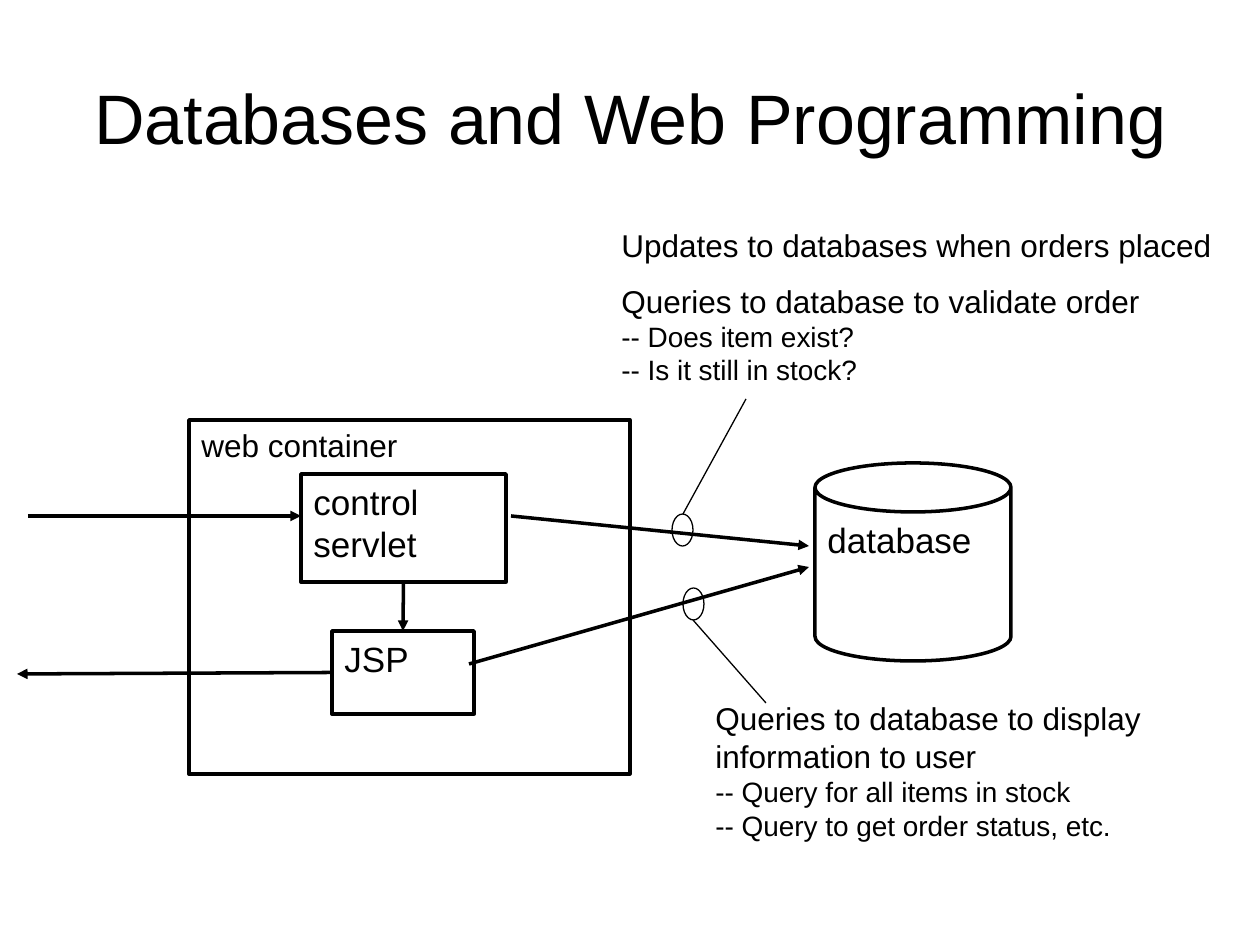
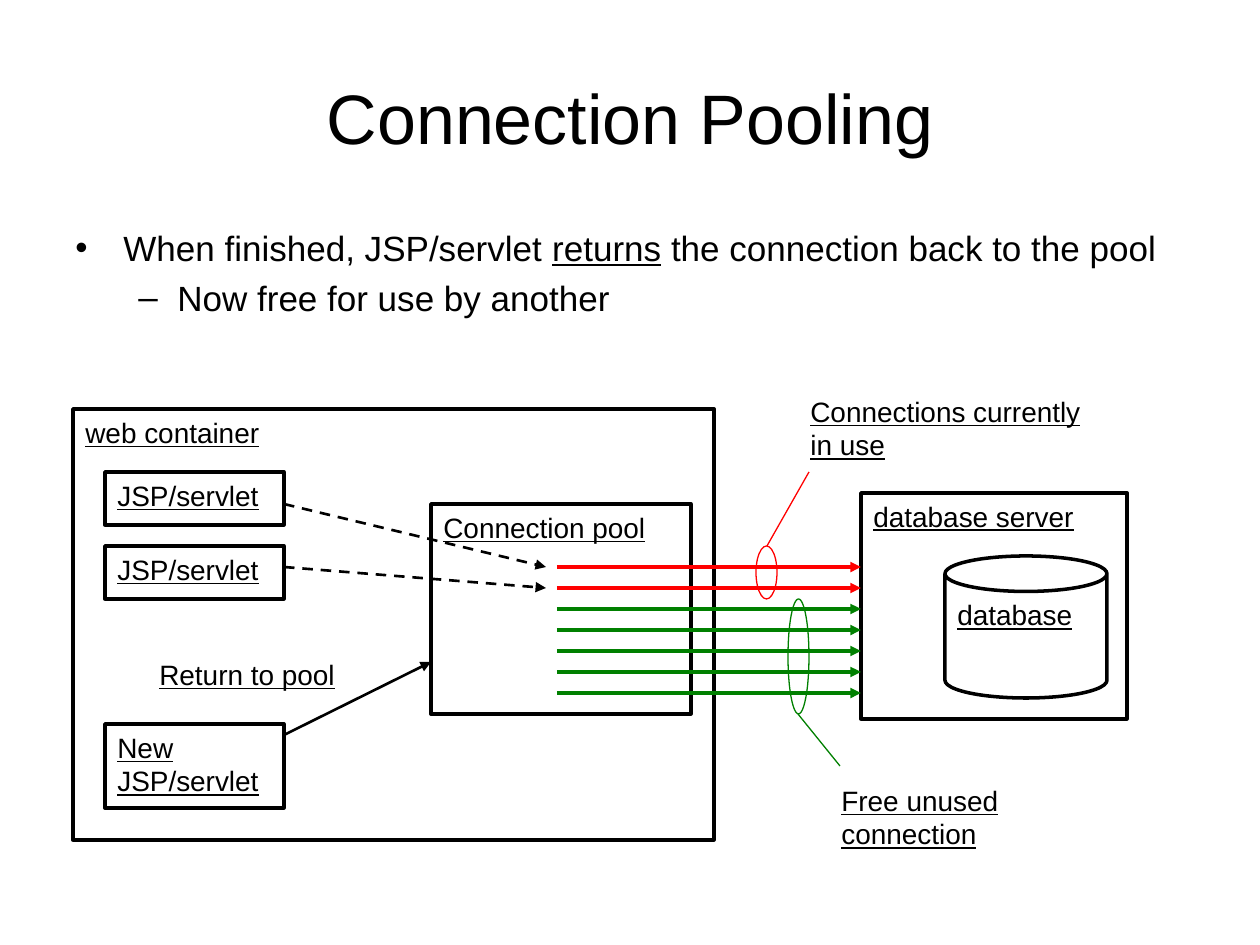
from copy import deepcopy
from dataclasses import dataclass

from lxml.etree import SubElement
from pptx import Presentation
from pptx.dml.color import RGBColor
from pptx.enum.dml import MSO_LINE_DASH_STYLE as Dash
from pptx.enum.shapes import MSO_CONNECTOR, MSO_SHAPE as Preset
from pptx.enum.text import MSO_ANCHOR as Anchor, MSO_AUTO_SIZE as AutoSize, PP_ALIGN as Align
from pptx.oxml.ns import qn
from pptx.util import Pt

EMU_PER_PX = 914400 / 126
FONT = "Arial"
COLORS = {"ink": "000000", "in_use": "FF0000", "free": "008000"}
TOP, LEFT, BOTTOM, RIGHT = range(4)
THIN, MEDIUM, THICK = 0.75, 1.5, 2


@dataclass
class Span:
    text: str
    size: int
    underline: bool = False


def px(length):
    return round(length * EMU_PER_PX)


def color(name):
    return RGBColor.from_string(COLORS[name])


def write_span(paragraph, span):
    for index, line in enumerate(span.text.split("\n")):
        if index:
            line_break = SubElement(paragraph._p, qn("a:br"))
            line_break.append(deepcopy(run._r.rPr))
        run = paragraph.add_run()
        run.text = line
        run.font.name = FONT
        run.font.size = Pt(span.size)
        run.font.underline = span.underline
        run.font.color.rgb = color("ink")


def write_text(frame, paragraphs, align=Align.LEFT, anchor=Anchor.TOP, gap=0):
    frame.word_wrap = True
    frame.auto_size = AutoSize.NONE
    frame.vertical_anchor = anchor
    for index, spans in enumerate(paragraphs):
        paragraph = frame.add_paragraph() if index else frame.paragraphs[0]
        paragraph.alignment = align
        paragraph.space_before = Pt(gap if index else 0)
        for span in spans:
            write_span(paragraph, span)


def add_titled_slide(deck, title):
    slide = deck.slides.add_slide(deck.slide_layouts[5])
    heading = slide.shapes.title
    heading.left, heading.top, heading.width, heading.height = map(px, (63, 38, 1134, 158))
    write_text(heading.text_frame, [[Span(title, 40)]], Align.CENTER, Anchor.MIDDLE)
    return slide


def add_outline(slide, preset, bounds, paragraphs=(), line="ink", weight=THICK):
    shape = slide.shapes.add_shape(preset, *map(px, bounds))
    shape.shadow.inherit = False
    shape.fill.background()
    shape.line.color.rgb = color(line)
    shape.line.width = Pt(weight)
    if paragraphs:
        write_text(shape.text_frame, paragraphs)
    return shape


def add_note(slide, bounds, paragraphs, gap=0):
    note = slide.shapes.add_textbox(*map(px, bounds))
    write_text(note.text_frame, paragraphs, gap=gap)
    return note


def add_bullet(paragraph, mark, indent, hanging, level):
    properties = paragraph._p.get_or_add_pPr()
    properties.set("marL", str(px(indent)))
    properties.set("indent", str(-px(hanging)))
    properties.set("lvl", str(level))
    SubElement(properties, qn("a:buFont"), typeface=FONT)
    SubElement(properties, qn("a:buChar"), char=mark)


def add_line(slide, start, end, line="ink", weight=THICK, arrow=False, dashed=False):
    connector = slide.shapes.add_connector(
        MSO_CONNECTOR.STRAIGHT, *map(px, start + end))
    connector.line.color.rgb = color(line)
    connector.line.width = Pt(weight)
    if dashed:
        connector.line.dash_style = Dash.DASH
    if arrow:
        SubElement(connector.line._get_or_add_ln(), qn("a:tailEnd"), type="triangle")
    SubElement(connector._element.spPr, qn("a:effectLst"))
    return connector


def add_callout(slide, ring, start, end, line="ink"):
    add_outline(slide, Preset.OVAL, ring, line=line, weight=THIN)
    add_line(slide, start, end, line, THIN)


def build_web_programming(deck):
    slide = add_titled_slide(deck, "Databases and Web Programming")
    add_outline(slide, Preset.RECTANGLE, (189, 420, 441, 354), [[Span("web container", 18)]])
    servlet = add_outline(slide, Preset.RECTANGLE, (301, 474, 205, 108),
                          [[Span("control", 20)], [Span("servlet", 20)]])
    jsp = add_outline(slide, Preset.RECTANGLE, (332, 631, 142, 83), [[Span("JSP", 20)]])
    add_outline(slide, Preset.CAN, (815, 463, 196, 198), [[Span("database", 20)]])

    add_line(slide, (28, 516), (301, 516), arrow=True)
    forward = add_line(slide, (404, 582), (404, 631), arrow=True)
    forward.begin_connect(servlet, BOTTOM)
    forward.end_connect(jsp, TOP)
    response = add_line(slide, (332, 673), (17, 674), arrow=True)
    response.begin_connect(jsp, LEFT)
    add_line(slide, (511, 516), (809, 546), arrow=True)
    add_line(slide, (469, 664), (809, 567), arrow=True)

    add_note(slide, (609, 220, 630, 173), [
        [Span("Updates to databases when orders placed", 18)],
        [Span("Queries to database to validate order\n", 18),
         Span("-- Does item exist?\n-- Is it still in stock?", 16)],
    ], gap=10)
    add_callout(slide, (672, 514, 21, 32), (746, 399), (683, 514))
    add_note(slide, (703, 693, 451, 156), [
        [Span("Queries to database to display information to user\n", 18),
         Span("-- Query for all items in stock\n-- Query to get order status, etc.", 16)],
    ])
    add_callout(slide, (683, 588, 21, 32), (693, 620), (766, 703))


def build_connection_pooling(deck):
    slide = add_titled_slide(deck, "Connection Pooling")
    points = add_note(slide, (63, 220, 1134, 179), [
        [Span("When finished, JSP/servlet ", 20), Span("returns", 20, True),
         Span(" the connection back to the pool", 20)],
        [Span("Now free for use by another", 20)],
    ], gap=5)
    returning, reuse = points.text_frame.paragraphs
    add_bullet(returning, "•", 48, 48, 0)
    add_bullet(reuse, "–", 102, 39, 1)

    for preset, bounds, label in (
        (Preset.RECTANGLE, (73, 409, 641, 431), "web container"),
        (Preset.CAN, (945, 556, 162, 142), "database"),
        (Preset.RECTANGLE, (431, 504, 260, 210), "Connection pool"),
        (Preset.RECTANGLE, (861, 493, 266, 226), "database server"),
        (Preset.RECTANGLE, (105, 472, 179, 53), "JSP/servlet"),
        (Preset.RECTANGLE, (105, 546, 179, 53), "JSP/servlet"),
        (Preset.RECTANGLE, (105, 724, 179, 84), "New\nJSP/servlet"),
    ):
        add_outline(slide, preset, bounds, [[Span(label, 16, True)]])

    for index, state in enumerate(["in_use"] * 2 + ["free"] * 5):
        level = 567 + 21 * index
        add_line(slide, (557, level), (861, level), state, arrow=True)

    add_line(slide, (284, 504), (546, 567), weight=MEDIUM, arrow=True, dashed=True)
    add_line(slide, (284, 567), (546, 588), weight=MEDIUM, arrow=True, dashed=True)
    add_line(slide, (284, 735), (431, 662), weight=MEDIUM, arrow=True)

    for bounds, label in (
        ((798, 388, 305, 81), "Connections currently in use"),
        ((829, 777, 305, 81), "Free unused connection"),
        ((147, 651, 315, 47), "Return to pool"),
    ):
        add_note(slide, bounds, [[Span(label, 16, True)]])
    add_callout(slide, (756, 546, 21, 53), (767, 546), (809, 472), "in_use")
    add_callout(slide, (788, 599, 21, 115), (798, 714), (840, 766), "free")


def main():
    deck = Presentation()
    deck.slide_width, deck.slide_height = px(1260), px(945)
    build_web_programming(deck)
    build_connection_pooling(deck)
    deck.save("out.pptx")


if __name__ == "__main__":
    main()
